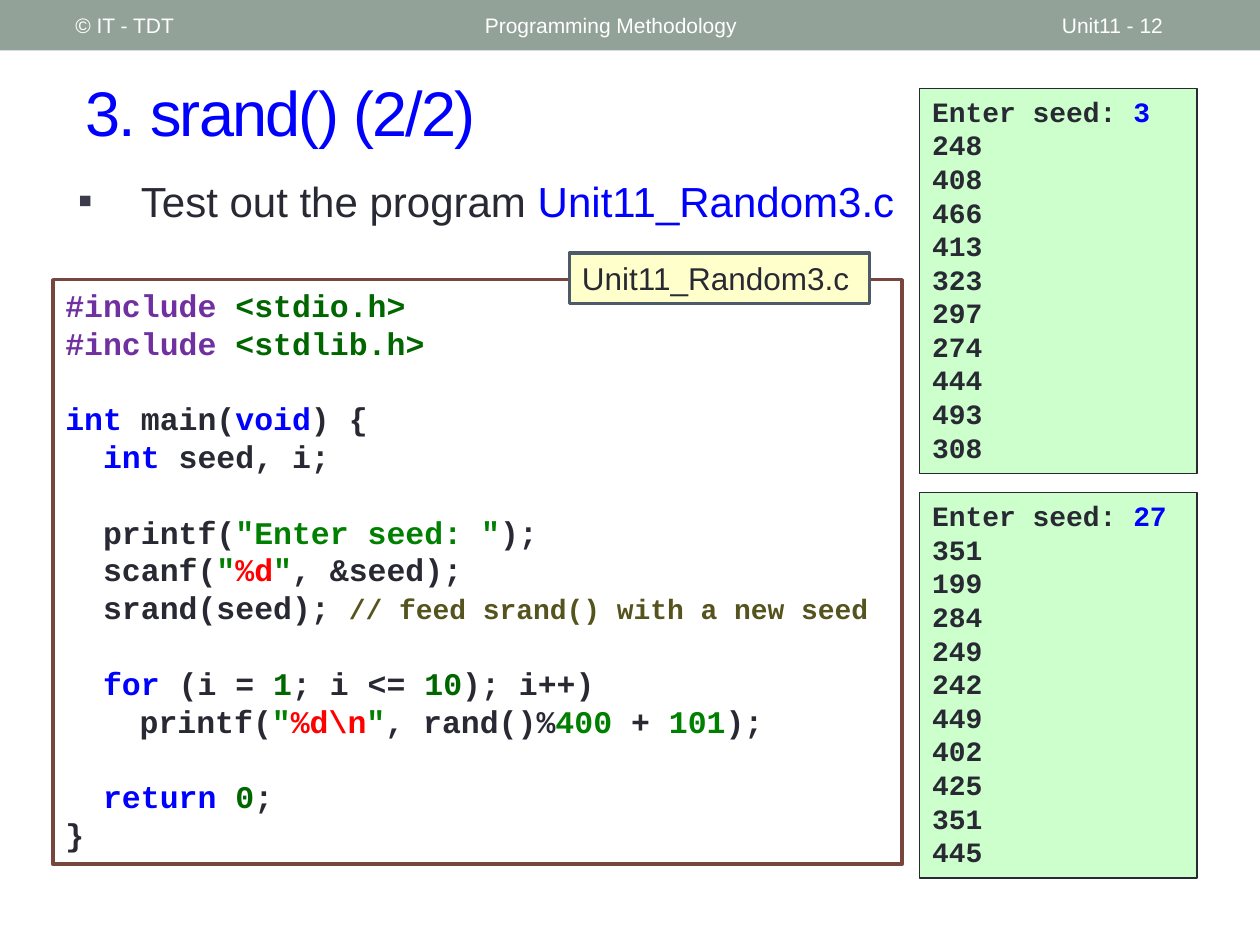
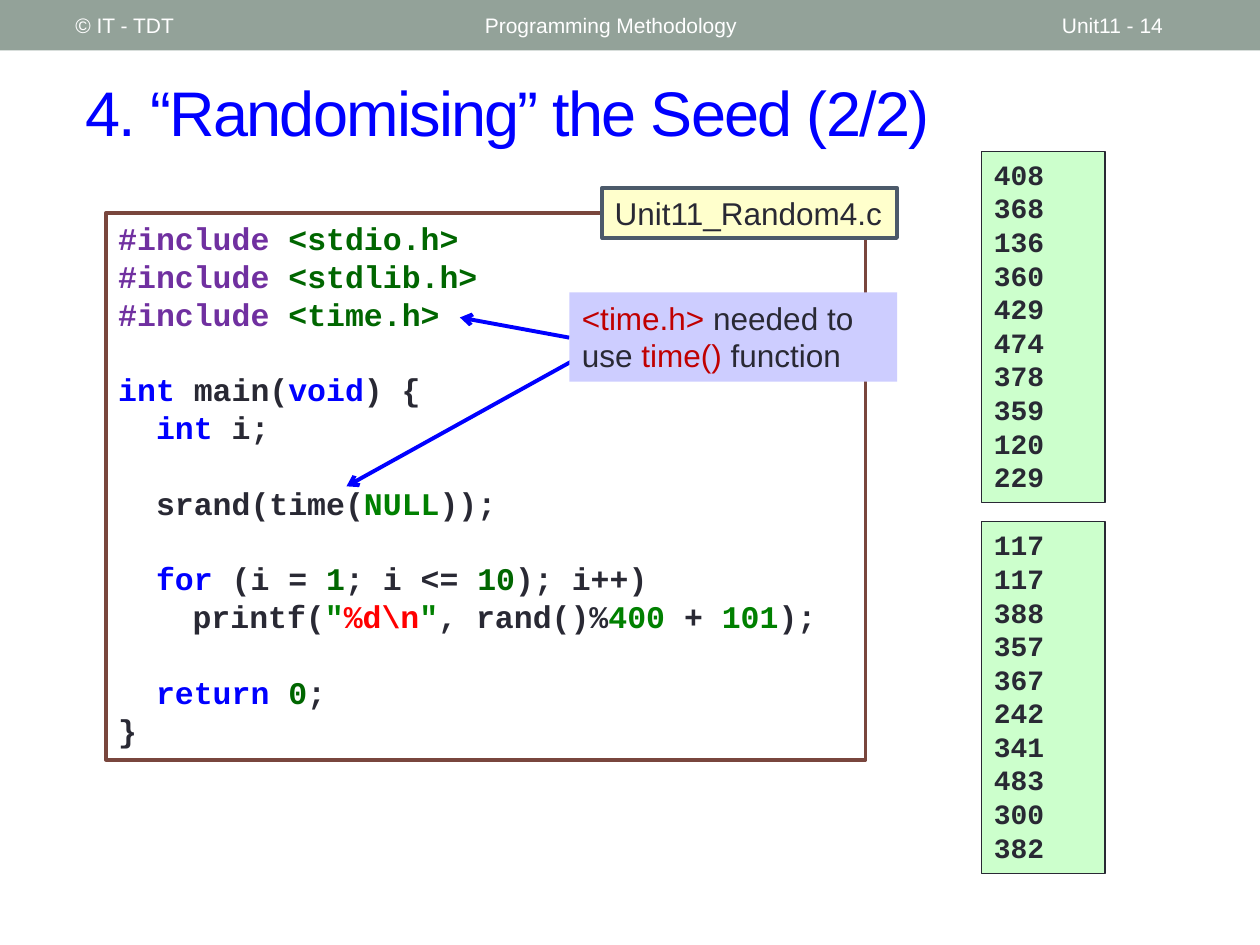
from dataclasses import dataclass
from typing import NamedTuple, Optional

import pptx
import pptx.dml.color
import pptx.enum.shapes
import pptx.enum.text
import pptx.oxml
import pptx.oxml.ns
import pptx.util
from lxml import etree

# The slide is a grid of 100 columns by 75 rows
COLUMNS, ROWS = 100, 75
CELL = pptx.util.Inches(0.1)


@dataclass(frozen=True)
class Theme:
    sans: str = "Arial"
    mono: str = "Courier New"
    band: str = "93A299"
    white: str = "FFFFFF"
    ink: str = "292934"
    blue: str = "0000FF"
    bullet: str = "3B3B4B"
    directive: str = "7030A0"
    dark_green: str = "006600"
    green: str = "008000"
    red: str = "FF0000"
    comment: str = "56541E"
    highlight: str = "C00000"
    code_line: str = "79463D"
    label_fill: str = "FFFFCC"
    label_line: str = "4C5A6A"
    output_fill: str = "CCFFCC"
    callout_fill: str = "CDCDFF"
    title_size: int = 36
    body_size: int = 24
    code_size: int = 18
    output_size: int = 16
    header_size: int = 12
    line_height: float = 1.2
    frame_width: float = 2.08
    arrow_width: float = 2.25


THEME = Theme()


class Area(NamedTuple):
    """A rectangle in grid columns and rows."""
    left: float
    top: float
    width: float
    height: float


class Run(NamedTuple):
    text: str
    color: str = THEME.ink
    size: Optional[int] = None


@dataclass(frozen=True)
class Line:
    """One line of text; indent in columns, gap in empty lines above."""
    runs: tuple[Run, ...]
    indent: float = 0
    gap: int = 0


@dataclass(frozen=True)
class Style:
    size: int
    font: str = THEME.sans
    bold: bool = False
    middle: bool = False
    spacing: int = 0


@dataclass(frozen=True)
class Box:
    fill: str
    outline: Optional[str] = None
    width: float = 0


TITLE = Style(THEME.title_size, middle=True, spacing=-100)
HEADER = Style(THEME.header_size, middle=True)
BODY = Style(THEME.body_size)
NOTE = Style(THEME.code_size)
CODE = Style(THEME.code_size, THEME.mono, bold=True)
OUTPUT = Style(THEME.output_size, THEME.mono, bold=True)

BAND_BOX = Box(THEME.band)
CODE_BOX = Box(THEME.white, THEME.code_line, THEME.frame_width)
LABEL_BOX = Box(THEME.label_fill, THEME.label_line, THEME.frame_width)
OUTPUT_BOX = Box(THEME.output_fill, THEME.ink, 0.75)
CALLOUT_BOX = Box(THEME.callout_fill)


def rgb(color: str):
    return pptx.dml.color.RGBColor.from_string(color)


def cells(*values: float) -> list[int]:
    return [round(value * CELL) for value in values]


def line(*runs: Run, indent: float = 0, gap: int = 0) -> Line:
    return Line(runs, indent, gap)


# Text and shapes
def write(shape, lines: list[Line], style: Style) -> None:
    frame = shape.text_frame
    frame.word_wrap = True
    frame.margin_right = 0
    anchor = pptx.enum.text.MSO_ANCHOR
    frame.vertical_anchor = anchor.MIDDLE if style.middle else anchor.TOP
    pitch = pptx.util.Pt(style.size * THEME.line_height)
    for index, item in enumerate(lines):
        paragraph = frame.paragraphs[0] if index == 0 else frame.add_paragraph()
        paragraph.alignment = pptx.enum.text.PP_ALIGN.LEFT
        if not style.middle:
            paragraph.line_spacing = pitch
        if item.gap:
            paragraph.space_before = item.gap * pitch
        if item.indent:
            paragraph._p.get_or_add_pPr().set("marL", str(cells(item.indent)[0]))
        for part in item.runs:
            run = paragraph.add_run()
            run.text = part.text
            run.font.name = style.font
            run.font.size = pptx.util.Pt(part.size or style.size)
            run.font.bold = style.bold
            run.font.color.rgb = rgb(part.color)
            if style.spacing:
                run._r.get_or_add_rPr().set("spc", str(style.spacing))


def add_text(slide, area: Area, lines: list[Line], style: Style):
    shape = slide.shapes.add_textbox(*cells(*area))
    write(shape, lines, style)
    return shape


def add_box(slide, area: Area, box: Box, lines: list[Line] = (), style: Style = NOTE) -> None:
    shape = slide.shapes.add_shape(
        pptx.enum.shapes.MSO_SHAPE.RECTANGLE, *cells(*area))
    shape.shadow.inherit = False
    shape.fill.solid()
    shape.fill.fore_color.rgb = rgb(box.fill)
    if box.outline:
        shape.line.color.rgb = rgb(box.outline)
        shape.line.width = pptx.util.Pt(box.width)
    else:
        shape.line.fill.background()
    if lines:
        write(shape, lines, style)


def add_arrow(slide, start: tuple[float, float], end: tuple[float, float]) -> None:
    connector = slide.shapes.add_connector(
        pptx.enum.shapes.MSO_CONNECTOR.STRAIGHT, *cells(*start, *end))
    connector.line.color.rgb = rgb(THEME.blue)
    connector.line.width = pptx.util.Pt(THEME.arrow_width)
    outline = connector.line._get_or_add_ln()
    etree.SubElement(outline, pptx.oxml.ns.qn("a:tailEnd"), type="arrow")
    etree.SubElement(connector._element.spPr, pptx.oxml.ns.qn("a:effectLst"))


def add_bullet(slide, area: Area, *runs: Run) -> None:
    shape = add_text(slide, area, [line(*runs, indent=5)], BODY)
    properties = shape.text_frame.paragraphs[0]._p.get_or_add_pPr()
    properties.set("indent", str(-cells(5)[0]))
    color = etree.SubElement(properties, pptx.oxml.ns.qn("a:buClr"))
    etree.SubElement(color, pptx.oxml.ns.qn("a:srgbClr"), val=THEME.bullet)
    etree.SubElement(properties, pptx.oxml.ns.qn("a:buFont"), typeface=THEME.sans)
    etree.SubElement(properties, pptx.oxml.ns.qn("a:buChar"), char="▪")


def add_slide(presentation, number: int, title: str):
    slide = presentation.slides.add_slide(presentation.slide_layouts[6])
    add_box(slide, Area(0, 0, COLUMNS, 4), BAND_BOX)
    headers = ((5, 31.7, "© IT - TDT"),
               (37.5, 45, "Programming Methodology"),
               (83.3, 11.7, f"Unit11 - {number}"))
    for left, width, text in headers:
        add_text(slide, Area(left, 0.2, width, 3.6),
                 [line(Run(text, THEME.white))], HEADER)
    add_text(slide, Area(5.8, 4.2, 91.7, 9.2), [line(Run(title, THEME.blue))], TITLE)
    return slide


def add_program(slide, area: Area, lines: list[Line], label_area: Area, label: str) -> None:
    add_box(slide, area, CODE_BOX, lines, CODE)
    add_box(slide, label_area, LABEL_BOX, [line(Run(label))])


def add_outputs(slide, first: Area, pitch: float, outputs: list[list[Line]]) -> None:
    for index, lines in enumerate(outputs):
        area = first._replace(top=first.top + index * pitch)
        add_box(slide, area, OUTPUT_BOX, lines, OUTPUT)


# Pieces of C code
STEP, DEEP_STEP = 3, 5.9
QUOTE = Run('"', THEME.green)


def keyword(text: str) -> Run:
    return Run(text, THEME.blue)


def literal(text: str) -> Run:
    return Run(text, THEME.green)


def number(text: str) -> Run:
    return Run(text, THEME.dark_green)


def format_code(text: str) -> tuple[Run, ...]:
    return QUOTE, Run(text, THEME.red), QUOTE


def program(headers: list[str], variables: str, body: list[Line]) -> list[Line]:
    includes = [line(Run("#include ", THEME.directive), number(f"<{name}>"))
                for name in headers]
    return [
        *includes,
        line(keyword("int"), Run(" main("), keyword("void"), Run(") {"), gap=1),
        line(keyword("int"), Run(f" {variables};"), indent=STEP),
        *body,
        line(keyword("for"), Run(" (i = "), number("1"), Run("; i <= "),
             number("10"), Run("); i++)"), indent=STEP, gap=1),
        line(Run("printf("), *format_code("%d\\n"), Run(", rand()%"),
             literal("400"), Run(" + "), literal("101"), Run(");"),
             indent=DEEP_STEP),
        line(keyword("return "), number("0"), Run(";"), indent=STEP, gap=1),
        line(Run("}")),
    ]


def values(text: str) -> list[Line]:
    return [line(Run(value)) for value in text.split()]


def seeded(seed: str, text: str) -> list[Line]:
    return [line(Run("Enter seed: "), keyword(seed)), *values(text)]


presentation = pptx.Presentation()
presentation.slide_width = COLUMNS * CELL
presentation.slide_height = ROWS * CELL

# Slide: choosing the seed by hand
slide = add_slide(presentation, 12, "3. srand() (2/2)")
add_bullet(slide, Area(5.2, 13.4, 85.6, 6.7),
           Run("Test out the program "), Run("Unit11_Random3.c", THEME.blue))
seed_body = [
    line(Run("printf("), literal('"Enter seed: "'), Run(");"), indent=STEP, gap=1),
    line(Run("scanf("), *format_code("%d"), Run(", &seed);"), indent=STEP),
    line(Run("srand(seed); "),
         Run("// feed srand() with a new seed", THEME.comment, THEME.output_size),
         indent=STEP),
]
add_program(slide, Area(4.2, 22.2, 67.4, 46.4),
            program(["stdio.h", "stdlib.h"], "seed, i", seed_body),
            Area(45.2, 20.1, 23.8, 4), "Unit11_Random3.c")
add_outputs(slide, Area(73, 7, 22, 30.6), 32.1, [
    seeded("3", "248 408 466 413 323 297 274 444 493 308"),
    seeded("27", "351 199 284 249 242 449 402 425 351 445")])

# Slide: taking the seed from the clock
slide = add_slide(presentation, 14, "4. “Randomising” the Seed (2/2)")
time_body = [line(Run("srand(time("), literal("NULL"), Run("));"), indent=STEP, gap=1)]
add_program(slide, Area(8.4, 16.9, 60.3, 43.4),
            program(["stdio.h", "stdlib.h", "time.h"], "i", time_body),
            Area(47.8, 14.9, 23.4, 4), "Unit11_Random4.c")
add_arrow(slide, (46.6, 28), (27.5, 38.6))
add_arrow(slide, (45.2, 26.8), (36.5, 25.2))
add_box(slide, Area(45.2, 23.2, 26, 7.1), CALLOUT_BOX, [
    line(Run("<time.h> ", THEME.highlight), Run("needed to use "),
         Run("time() ", THEME.highlight), Run("function"))])
add_outputs(slide, Area(77.9, 12, 9.8, 27.9), 29.4, [
    values("408 368 136 360 429 474 378 359 120 229"),
    values("117 117 388 357 367 242 341 483 300 382")])

presentation.save("out.pptx")
